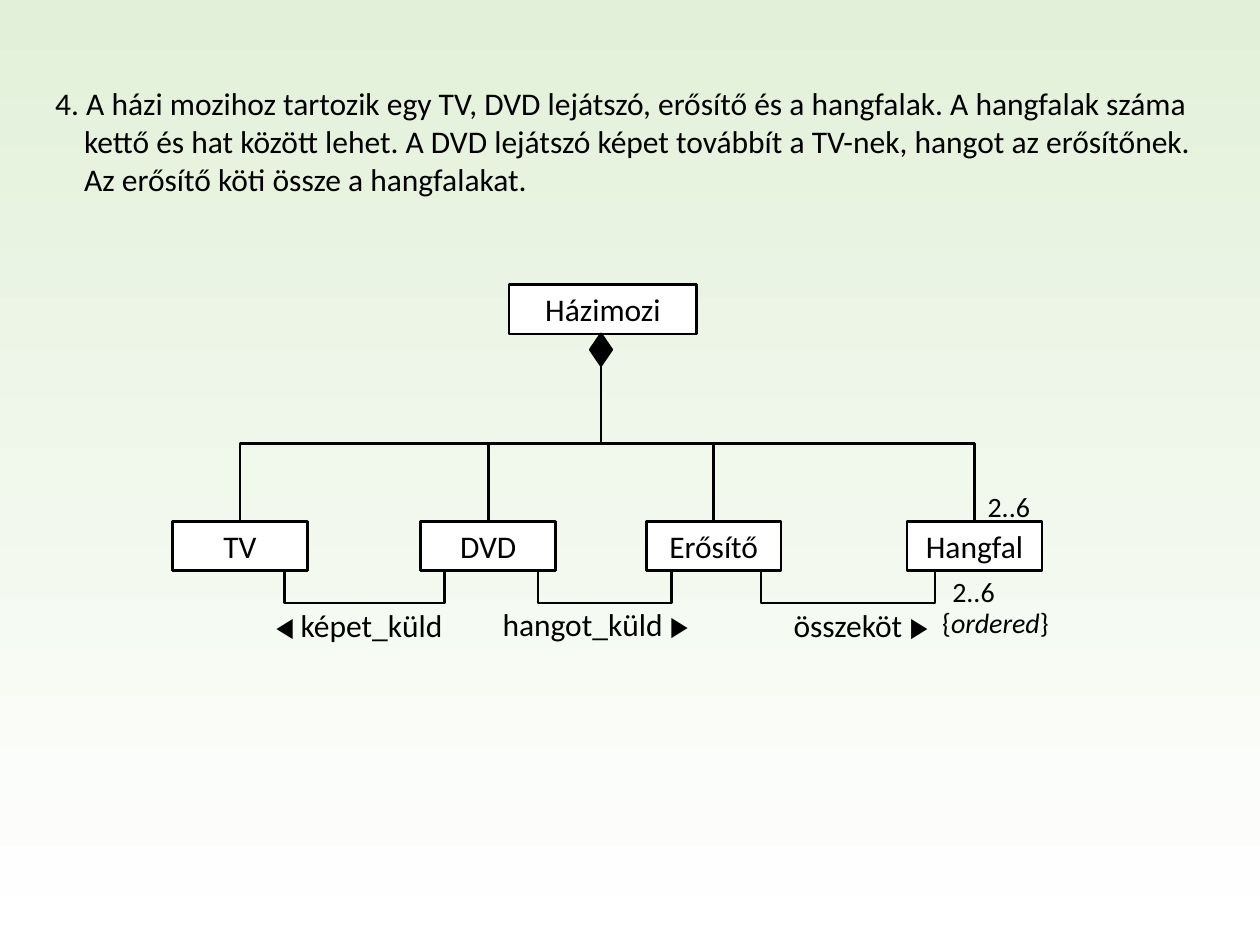
from lxml.etree import SubElement
from pptx import Presentation
from pptx.dml.color import RGBColor
from pptx.enum.shapes import MSO_CONNECTOR as Link, MSO_SHAPE as Shape
from pptx.enum.text import MSO_ANCHOR as Anchor, MSO_AUTO_SIZE as AutoSize, PP_ALIGN as Align
from pptx.oxml.ns import qn
from pptx.util import Inches, Pt

BLACK = RGBColor(0x00, 0x00, 0x00)
WHITE = RGBColor(0xFF, 0xFF, 0xFF)
PALE_GREEN = RGBColor(0xE2, 0xF0, 0xD9)

PART_TOP, PART_WIDTH, BOX_HEIGHT = 4.14, 1.07, 0.39
PART_LEFTS = {"TV": 1.37, "DVD": 3.34, "Erősítő": 5.13, "Hangfal": 7.2}
PART_BOTTOM = PART_TOP + BOX_HEIGHT
WHOLE_TOP = 2.26
DIAMOND_X, DIAMOND_WIDTH, DIAMOND_HEIGHT = 4.77, 0.17, 0.25
DIAMOND_TOP = WHOLE_TOP + BOX_HEIGHT
LINK_DROP, LINK_RISE = 0.26, 0.01

TASK = ("4. A házi mozihoz tartozik egy TV, DVD lejátszó, erősítő és a hangfalak. A hangfalak száma\v"
        "kettő és hat között lehet. A DVD lejátszó képet továbbít a TV-nek, hangot az erősítőnek.\v"
        "Az erősítő köti össze a hangfalakat.")

# (goes right, goes down): rotation in degrees and flips of an elbow that leaves vertically
TURNS = {(True, False): (90, ("flipH", "flipV")),
         (False, False): (270, ("flipV",)),
         (True, True): (270, ("flipH",))}


def paint_background(slide):
    fill = slide.background.fill
    fill.gradient()
    fill.gradient_angle = 90
    for stop, color, position in zip(fill.gradient_stops, (WHITE, PALE_GREEN), (0, 1)):
        stop.color.rgb = color
        stop.position = position


def write(paragraph, text, size=18, font="Calibri", italic=False):
    """Append text to the paragraph; a vertical tab breaks the line."""
    for number, line in enumerate(text.split("\v")):
        if number:
            paragraph.add_line_break()
        run = paragraph.add_run()
        run.text = line
        run.font.size = Pt(size)
        run.font.name = font
        run.font.italic = italic
        run.font.color.rgb = BLACK


def add_label(slide, left, top, width, height, *pieces, hanging=0):
    """Each piece is a text with a dict of its format."""
    frame = slide.shapes.add_textbox(*map(Inches, (left, top, width, height))).text_frame
    frame.word_wrap = False
    frame.auto_size = AutoSize.SHAPE_TO_FIT_TEXT
    paragraph = frame.paragraphs[0]
    if hanging:
        properties = paragraph._p.get_or_add_pPr()
        properties.set("marL", str(Inches(hanging)))
        properties.set("indent", str(-Inches(hanging)))
    for text, style in pieces:
        write(paragraph, text, **style)


def add_block(slide, kind, left, top, width, height, fill, text=""):
    block = slide.shapes.add_shape(kind, *map(Inches, (left, top, width, height)))
    block.shadow.inherit = False
    block.fill.solid()
    block.fill.fore_color.rgb = fill
    block.line.color.rgb = BLACK
    block.line.width = Pt(1.5)
    if text:
        frame = block.text_frame
        frame.vertical_anchor = Anchor.MIDDLE
        frame.word_wrap = False
        frame.paragraphs[0].alignment = Align.CENTER
        write(frame.paragraphs[0], text)


def add_elbow(slide, x1, y1, x2, y2, bend=0.5):
    """Elbow that leaves and arrives vertically; bend is a share of its height."""
    across, along = abs(x2 - x1), abs(y2 - y1)
    left, top = (x1 + x2 - along) / 2, (y1 + y2 - across) / 2
    elbow = slide.shapes.add_connector(
        Link.ELBOW, *map(Inches, (left, top, left + along, top + across)))
    elbow.line.color.rgb = BLACK
    elbow.line.width = Pt(1.5)
    properties = elbow._element.spPr
    SubElement(properties, qn("a:effectLst"))
    frame = properties.find(qn("a:xfrm"))
    degrees, flips = TURNS[x2 > x1, y2 > y1]
    frame.set("rot", str(degrees * 60000))
    for flip in flips:
        frame.set(flip, "1")
    guides = properties.find(qn("a:prstGeom")).find(qn("a:avLst"))
    SubElement(guides, qn("a:gd"), name="adj1", fmla=f"val {round(bend * 100000)}")


def add_composition(slide):
    add_block(slide, Shape.RECTANGLE, 4.04, WHOLE_TOP, 1.49, BOX_HEIGHT, WHITE, "Házimozi")
    for name, left in PART_LEFTS.items():
        add_block(slide, Shape.RECTANGLE, left, PART_TOP, PART_WIDTH, BOX_HEIGHT, WHITE, name)
    add_block(slide, Shape.DIAMOND, DIAMOND_X - DIAMOND_WIDTH / 2, DIAMOND_TOP,
              DIAMOND_WIDTH, DIAMOND_HEIGHT, BLACK)
    for left in PART_LEFTS.values():
        add_elbow(slide, left + PART_WIDTH / 2, PART_TOP,
                  DIAMOND_X, DIAMOND_TOP + DIAMOND_HEIGHT)


def add_associations(slide):
    for start, end in ((2.26, 3.53), (4.27, 5.33), (6.04, 7.42)):
        add_elbow(slide, start, PART_BOTTOM, end, PART_BOTTOM + LINK_RISE,
                  bend=LINK_DROP / LINK_RISE)
    small = {"size": 16}
    arrow = {"size": 16, "font": "Times New Roman"}
    for left, top in ((7.74, 3.84), (7.46, 4.51)):
        add_label(slide, left, top, 0.54, 0.37, ("2..6", small))
    add_label(slide, 6.2, 4.76, 1.32, 0.4, ("összeköt ", {}), ("▶", arrow))
    add_label(slide, 3.89, 4.75, 1.76, 0.4, ("hangot_küld ", {}), ("▶", arrow))
    add_label(slide, 2.09, 4.76, 1.58, 0.4, ("◀ ", small), ("képet_küld", {}))
    add_label(slide, 7.38, 4.76, 1.06, 0.37,
              ("{", small), ("ordered", {"size": 16, "italic": True}), ("}", small))


def main():
    deck = Presentation()
    deck.slide_width, deck.slide_height = Inches(10), Inches(7.5)
    slide = deck.slides.add_slide(deck.slide_layouts[6])
    paint_background(slide)
    add_composition(slide)
    add_associations(slide)
    add_label(slide, 0.34, 0.62, 9.4, 1.01, (TASK, {}), hanging=0.23)
    deck.save("out.pptx")


if __name__ == "__main__":
    main()
